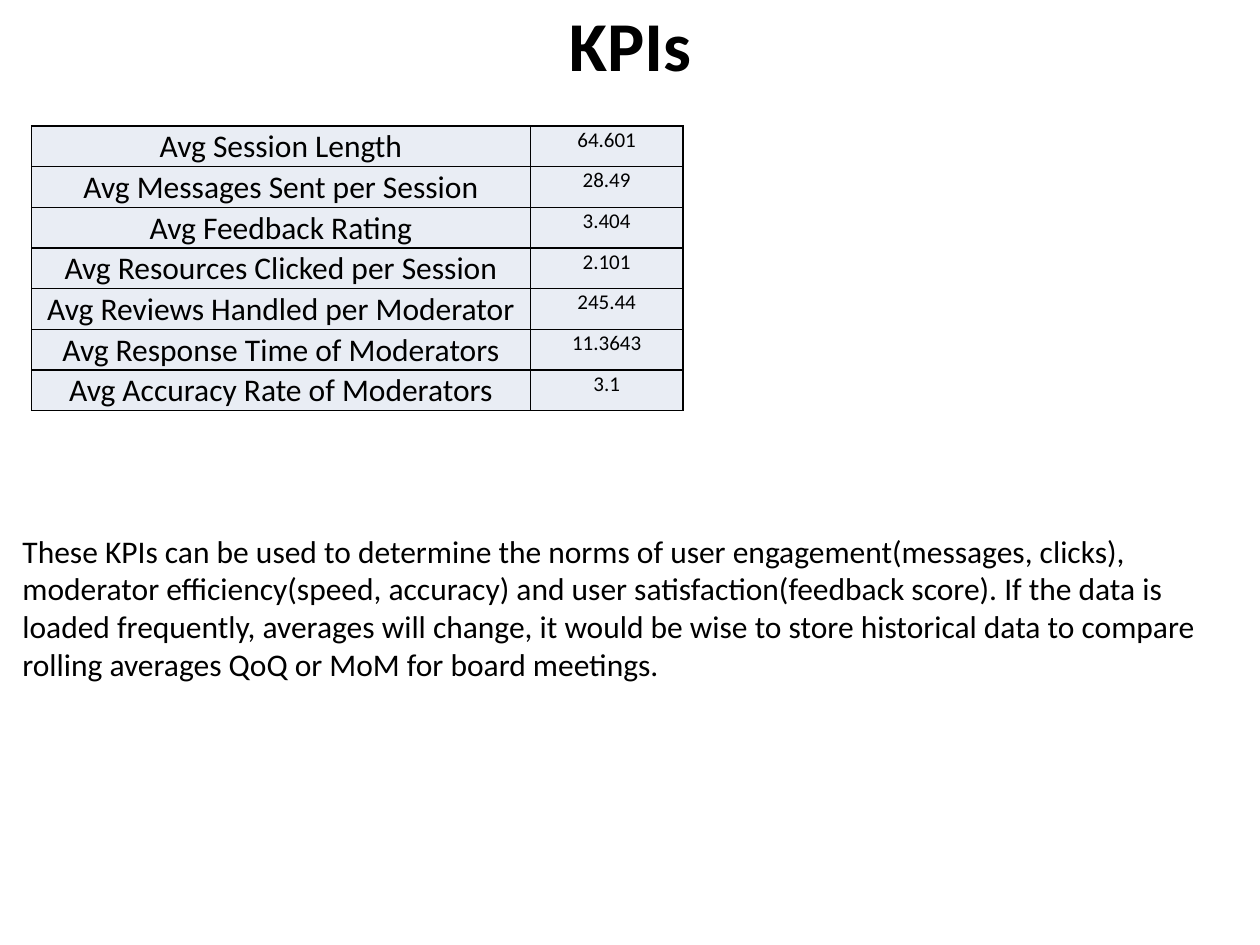
from lxml import etree
from pptx import Presentation
from pptx.dml.color import RGBColor
from pptx.enum.text import MSO_ANCHOR, PP_ALIGN
from pptx.oxml.ns import qn
from pptx.util import Inches, Pt

LEFT, CENTER = PP_ALIGN.LEFT, PP_ALIGN.CENTER
TOP, MIDDLE = MSO_ANCHOR.TOP, MSO_ANCHOR.MIDDLE
BLACK = RGBColor(0x00, 0x00, 0x00)
PALE_BLUE = RGBColor(0xE9, 0xED, 0xF4)

KPIS = [
    ("Avg Session Length", "64.601"),
    ("Avg Messages Sent per Session", "28.49"),
    ("Avg Feedback Rating", "3.404"),
    ("Avg Resources Clicked per Session", "2.101"),
    ("Avg Reviews Handled per Moderator", "245.44"),
    ("Avg Response Time of Moderators", "11.3643"),
    ("Avg Accuracy Rate of Moderators", "3.1"),
]
EXPLANATION = (
    "These KPIs can be used to determine the norms of user engagement(messages, clicks), "
    "moderator efficiency(speed, accuracy) and user satisfaction(feedback score). "
    "If the data is loaded frequently, averages will change, it would be wise to store "
    "historical data to compare rolling averages QoQ or MoM for board meetings."
)


class KpiSlide:
    """Holds the text style and the current slide, placing elements by shares of its size."""

    font = "Calibri"
    ink = BLACK
    cell_fill = PALE_BLUE
    border = Pt(1)

    def __init__(self, deck):
        self.width, self.height = deck.slide_width, deck.slide_height
        self.slide = deck.slides.add_slide(deck.slide_layouts[6])

    def across(self, share):
        return round(self.width * share)

    def down(self, share):
        return round(self.height * share)

    def fill_text(self, frame, wording, size, align, bold=False):
        frame.text = wording
        for paragraph in frame.paragraphs:
            paragraph.alignment = align
            for run in paragraph.runs:
                run.font.name = self.font
                run.font.size = Pt(size)
                run.font.bold = bold
                run.font.color.rgb = self.ink

    def text(self, area, wording, size, align=LEFT, anchor=TOP, bold=False):
        left, top, width, height = area
        frame = self.slide.shapes.add_textbox(
            self.across(left), self.down(top), self.across(width), self.down(height)
        ).text_frame
        frame.word_wrap = True
        frame.vertical_anchor = anchor
        self.fill_text(frame, wording, size, align, bold)

    def outline(self, cell):
        properties = cell._tc.get_or_add_tcPr()
        for side in ("a:lnL", "a:lnR", "a:lnT", "a:lnB"):
            line = etree.SubElement(properties, qn(side), w=str(self.border))
            fill = etree.SubElement(line, qn("a:solidFill"))
            etree.SubElement(fill, qn("a:srgbClr"), val=str(self.ink))

    def table(self, area, columns, rows):
        left, top, width, height = area
        grid = self.slide.shapes.add_table(
            len(rows), len(columns),
            self.across(left), self.down(top), self.across(width), self.down(height),
        ).table
        grid.first_row = grid.horz_banding = False
        for column, (share, _, _) in zip(grid.columns, columns):
            column.width = self.across(width * share)
        for row, entries in zip(grid.rows, rows):
            for cell, entry, (_, size, anchor) in zip(row.cells, entries, columns):
                cell.margin_left = cell.margin_right = cell.margin_top = Inches(0.01)
                cell.margin_bottom = 0
                cell.vertical_anchor = anchor
                self.outline(cell)
                cell.fill.solid()
                cell.fill.fore_color.rgb = self.cell_fill
                self.fill_text(cell.text_frame, entry, size, CENTER)


def main():
    deck = Presentation()
    deck.slide_width, deck.slide_height = Inches(10), Inches(7.5)
    page = KpiSlide(deck)
    page.text((0.05, 0.03 / 7.5, 0.9, 0.63 / 7.5), "KPIs", 40, CENTER, MIDDLE, bold=True)
    page.text((0.08 / 10, 4.17 / 7.5, 9.83 / 10, 1.62 / 7.5), EXPLANATION, 18)
    page.table(
        (0.25 / 10, 1 / 7.5, 5.17 / 10, 2.26 / 7.5),
        [(3.96 / 5.17, 18, MIDDLE), (1.21 / 5.17, 12, TOP)],
        KPIS,
    )
    deck.save("out.pptx")


if __name__ == "__main__":
    main()
